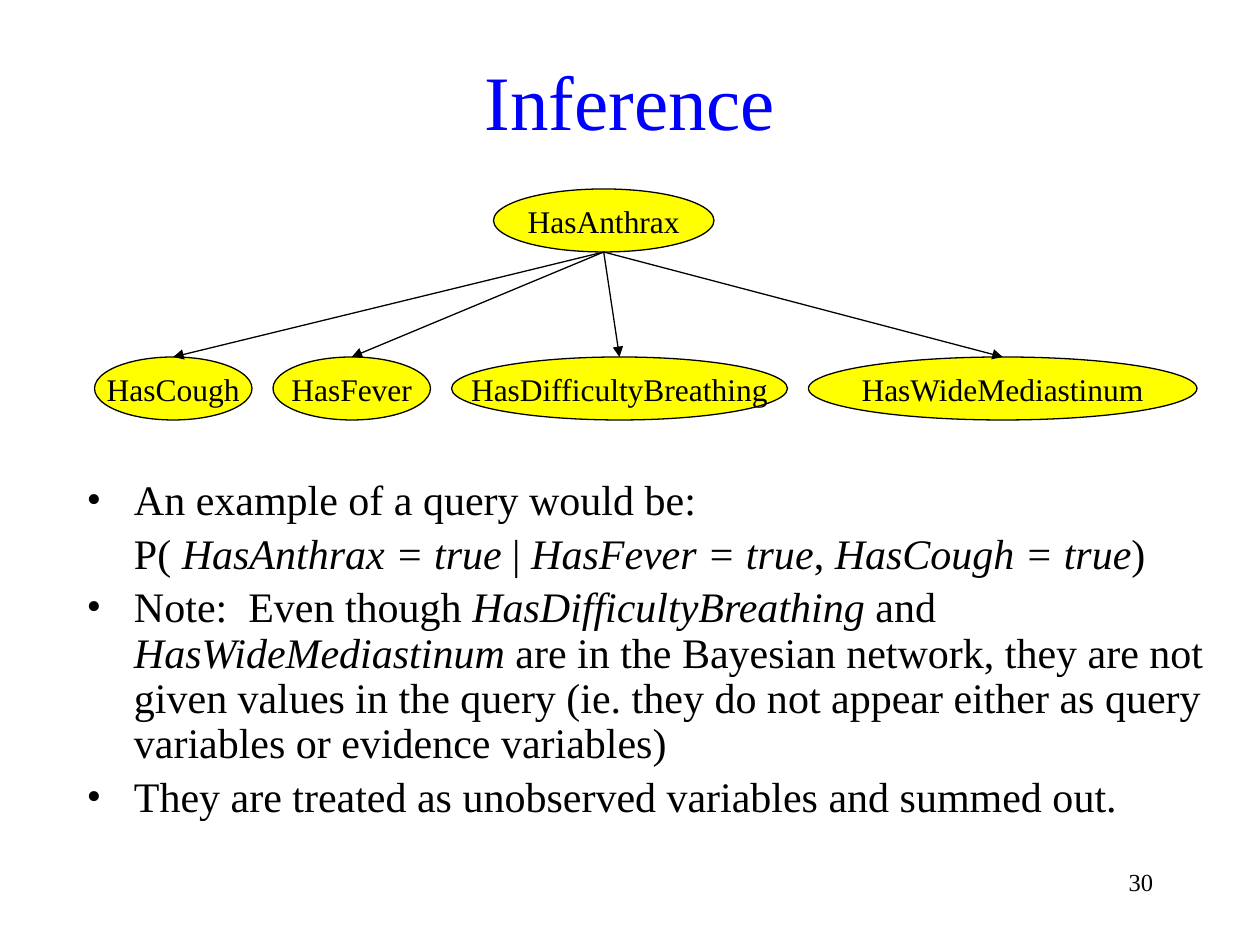
"""Build the Inference slide: a Bayesian network above notes on a query."""
from lxml import etree
from pptx import Presentation
from pptx.dml.color import RGBColor
from pptx.enum.shapes import MSO_CONNECTOR, MSO_SHAPE
from pptx.enum.text import MSO_ANCHOR, PP_ALIGN
from pptx.oxml.ns import qn
from pptx.util import Pt

BLACK = RGBColor(0x00, 0x00, 0x00)
BLUE = RGBColor(0x00, 0x00, 0xFF)
YELLOW = RGBColor(0xFF, 0xFF, 0x00)
FONT = "Times New Roman"
CENTER, LEFT, RIGHT = PP_ALIGN.CENTER, PP_ALIGN.LEFT, PP_ALIGN.RIGHT
TOP, MIDDLE = MSO_ANCHOR.TOP, MSO_ANCHOR.MIDDLE
ELLIPSE = MSO_SHAPE.OVAL
STRAIGHT = MSO_CONNECTOR.STRAIGHT

NODE_HEIGHT = 36
ROOT_LEFT, ROOT_TOP, ROOT_WIDTH = 282, 108, 126
LEAF_LEFT, LEAF_TOP, LEAF_GAP = 54, 204, 12
LEAVES = [
    ("HasCough", 90),
    ("HasFever", 90),
    ("HasDifficultyBreathing", 192),
    ("HasWideMediastinum", 222),
]
LABELS = [
    ("30", 588, 492, 78, 36, 14, BLACK, RIGHT, TOP),
    ("Inference", 54, 12, 612, 90, 44, BLUE, CENTER, MIDDLE),
]
BODY_INDENT = 27
BODY = [
    (True, [("An example of a query would be:", False)]),
    (False, [
        ("P( ", False),
        ("HasAnthrax = true", True),
        (" | ", False),
        ("HasFever = true", True),
        (", ", False),
        ("HasCough = true", True),
        (")", False),
    ]),
    (True, [
        ("Note:  Even though ", False),
        ("HasDifficultyBreathing", True),
        (" and ", False),
        ("HasWideMediastinum", True),
        (" are in the Bayesian network, they are not given values in the query "
         "(ie. they do not appear either as query variables or evidence variables)", False),
    ]),
    (True, [("They are treated as unobserved variables and summed out.", False)]),
]


def add_run(paragraph, text, size, color=BLACK, italic=False):
    run = paragraph.add_run()
    run.text = text
    run.font.name = FONT
    run.font.size = Pt(size)
    run.font.italic = italic
    run.font.color.rgb = color


def add_node(slide, text, left, top, width):
    node = slide.shapes.add_shape(ELLIPSE, Pt(left), Pt(top), Pt(width), Pt(NODE_HEIGHT))
    node.shadow.inherit = False
    node.fill.solid()
    node.fill.fore_color.rgb = YELLOW
    node.line.color.rgb = BLACK
    node.line.width = Pt(0.75)
    node.text_frame.word_wrap = False
    node.text_frame.vertical_anchor = MIDDLE
    paragraph = node.text_frame.paragraphs[0]
    paragraph.alignment = CENTER
    add_run(paragraph, text, 18)


presentation = Presentation()
presentation.slide_width = Pt(720)
presentation.slide_height = Pt(540)
slide = presentation.slides.add_slide(presentation.slide_layouts[6])

for text, left, top, width, height, size, color, alignment, anchor in LABELS:
    label = slide.shapes.add_textbox(Pt(left), Pt(top), Pt(width), Pt(height))
    label.text_frame.word_wrap = True
    label.text_frame.vertical_anchor = anchor
    paragraph = label.text_frame.paragraphs[0]
    paragraph.alignment = alignment
    add_run(paragraph, text, size, color)

body = slide.shapes.add_textbox(Pt(42.5), Pt(270.25), Pt(654), Pt(210))
body.text_frame.word_wrap = True
for index, (bulleted, runs) in enumerate(BODY):
    paragraph = body.text_frame.add_paragraph() if index else body.text_frame.paragraphs[0]
    paragraph.alignment = LEFT
    paragraph.line_spacing = 0.9
    if index:
        paragraph.space_before = Pt(4.8)
    properties = paragraph._p.get_or_add_pPr()
    properties.set("marL", str(Pt(BODY_INDENT)))
    if bulleted:
        properties.set("indent", str(Pt(-BODY_INDENT)))
        etree.SubElement(properties, qn("a:buFont"), typeface=FONT)
        etree.SubElement(properties, qn("a:buChar"), char="•")
    for text, italic in runs:
        add_run(paragraph, text, 24, italic=italic)

add_node(slide, "HasAnthrax", ROOT_LEFT, ROOT_TOP, ROOT_WIDTH)
root_center = ROOT_LEFT + ROOT_WIDTH / 2
root_bottom = ROOT_TOP + NODE_HEIGHT
left = LEAF_LEFT
for text, width in LEAVES:
    add_node(slide, text, left, LEAF_TOP, width)
    arrow = slide.shapes.add_connector(
        STRAIGHT, Pt(root_center), Pt(root_bottom), Pt(left + width / 2), Pt(LEAF_TOP))
    arrow.line.color.rgb = BLACK
    arrow.line.width = Pt(0.75)
    etree.SubElement(arrow.line._get_or_add_ln(), qn("a:tailEnd"), type="triangle")
    etree.SubElement(arrow._element.spPr, qn("a:effectLst"))
    left += width + LEAF_GAP

presentation.save("out.pptx")
